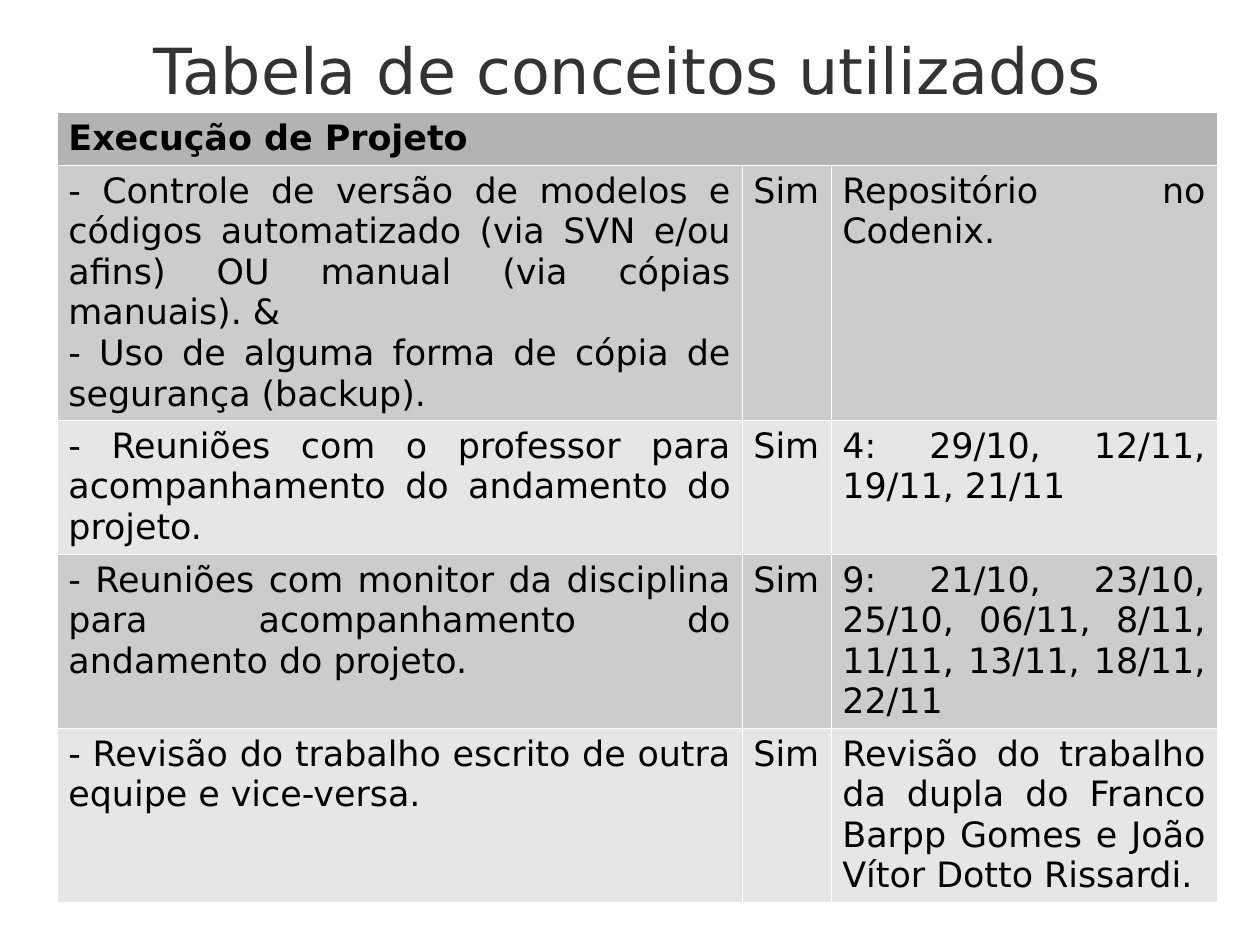
from lxml.etree import SubElement
from pptx import Presentation
from pptx.dml.color import RGBColor
from pptx.enum.text import MSO_ANCHOR, PP_ALIGN
from pptx.oxml.ns import qn
from pptx.util import Pt

TITLE = "Tabela de conceitos utilizados"
HEADING = "Execução de Projeto"
CONCEPTS = [
    (["- Controle de versão de modelos e códigos automatizado (via SVN e/ou afins) "
      "OU manual (via cópias manuais). &",
      "- Uso de alguma forma de cópia de segurança (backup)."],
     ["Sim"], ["Repositório no Codenix."]),
    (["- Reuniões com o professor para acompanhamento do andamento do projeto."],
     ["Sim"], ["4: 29/10, 12/11, 19/11, 21/11"]),
    (["- Reuniões com monitor da disciplina para acompanhamento do andamento do projeto."],
     ["Sim"], ["9: 21/10, 23/10, 25/10, 06/11, 8/11, 11/11, 13/11, 18/11, 22/11"]),
    (["- Revisão do trabalho escrito de outra equipe e vice-versa."],
     ["Sim"], ["Revisão do trabalho da dupla do Franco Barpp Gomes e João Vítor Dotto Rissardi."]),
]
COLORS = {"title": "333333", "text": "000000", "heading": "B3B3B3",
          "odd": "CCCCCC", "even": "E6E6E6", "border": "FFFFFF"}
FONT = "DejaVu Sans"
PX = 8000
BORDER = 762
SLIDE = (1260, 945)
TITLE_BOX = (85, -6, 1085, 150)
TABLE_AT = (57, 112)
COL_WIDTHS = [685, 89, 386]
ROW_HEIGHTS = [53, 255, 134, 174, 174]


def px(*values):
    return [v * PX for v in values]


def write(tf, lines, size, color, align, bold=False):
    for i, line in enumerate(lines):
        p = tf.add_paragraph() if i else tf.paragraphs[0]
        p.alignment = align
        r = p.add_run()
        r.text = line
        r.font.size = Pt(size)
        r.font.name = FONT
        r.font.bold = bold
        r.font.color.rgb = RGBColor.from_string(COLORS[color])


def style_cell(cell, fill):
    tc_pr = cell._tc.get_or_add_tcPr()
    for side in ("a:lnL", "a:lnR", "a:lnT", "a:lnB"):
        ln = SubElement(tc_pr, qn(side), w=str(BORDER))
        solid = SubElement(ln, qn("a:solidFill"))
        SubElement(solid, qn("a:srgbClr"), val=COLORS["border"])
    cell.fill.solid()
    cell.fill.fore_color.rgb = RGBColor.from_string(COLORS[fill])


def add_title(slide):
    sp = slide.shapes.title
    sp.left, sp.top, sp.width, sp.height = px(*TITLE_BOX)
    tf = sp.text_frame
    tf.word_wrap = True
    tf.vertical_anchor = MSO_ANCHOR.MIDDLE
    tf.margin_left = tf.margin_top = tf.margin_right = tf.margin_bottom = 0
    write(tf, [TITLE], 40, "title", PP_ALIGN.CENTER)


def add_concepts(slide):
    size = (sum(COL_WIDTHS), sum(ROW_HEIGHTS))
    table = slide.shapes.add_table(
        len(ROW_HEIGHTS), len(COL_WIDTHS), *px(*TABLE_AT, *size)).table
    for column, width in zip(table.columns, px(*COL_WIDTHS)):
        column.width = width
    for row, height in zip(table.rows, px(*ROW_HEIGHTS)):
        row.height = height
    table.cell(0, 0).merge(table.cell(0, len(COL_WIDTHS) - 1))
    for i, row in enumerate([([HEADING], [], [])] + CONCEPTS):
        fill = "heading" if i == 0 else "odd" if i % 2 else "even"
        for j, lines in enumerate(row):
            cell = table.cell(i, j)
            style_cell(cell, fill)
            write(cell.text_frame, lines, 22, "text", PP_ALIGN.JUSTIFY, bold=i == 0)


def main():
    prs = Presentation()
    prs.slide_width, prs.slide_height = px(*SLIDE)
    slide = prs.slides.add_slide(prs.slide_layouts[5])
    add_title(slide)
    add_concepts(slide)
    prs.save("out.pptx")


if __name__ == "__main__":
    main()
